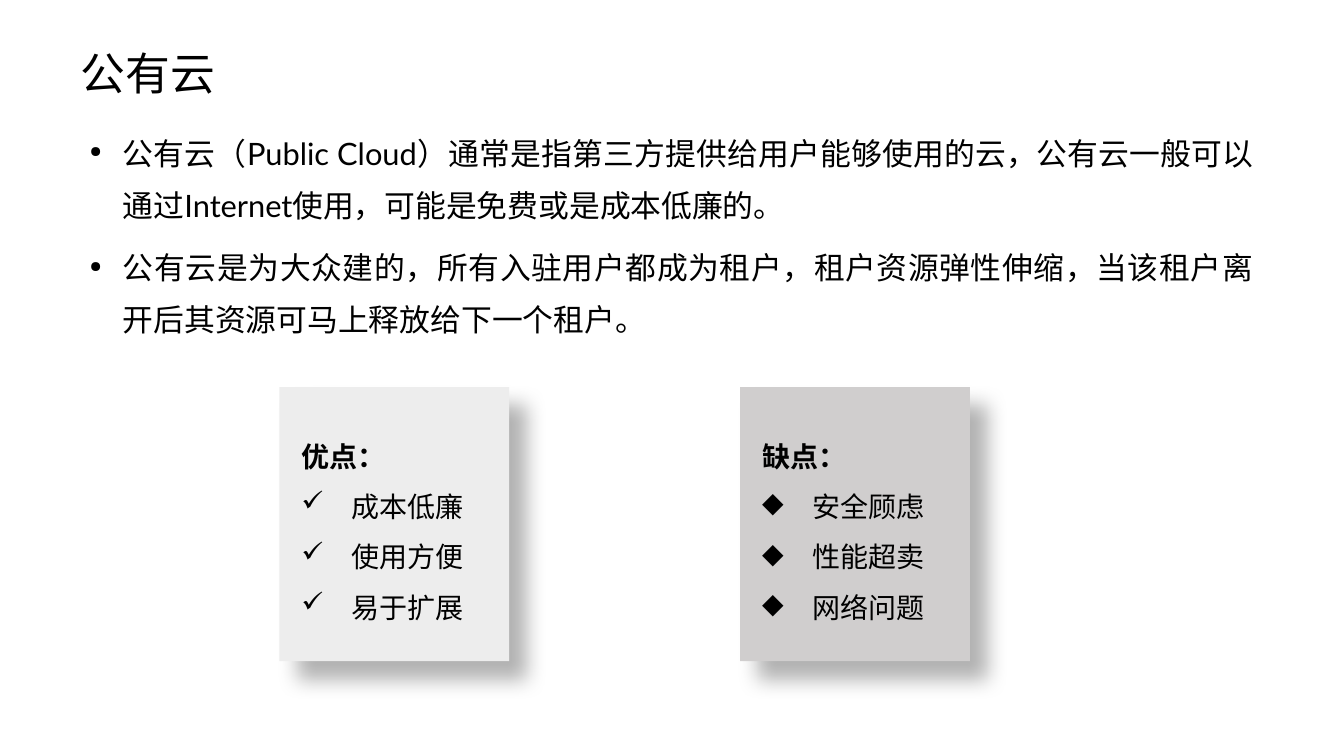
from dataclasses import dataclass

from lxml.etree import SubElement
from pptx import Presentation
from pptx.dml.color import RGBColor
from pptx.enum.lang import MSO_LANGUAGE_ID as Language
from pptx.enum.shapes import MSO_SHAPE as Shape
from pptx.enum.text import MSO_ANCHOR as Anchor, PP_ALIGN as Align
from pptx.oxml.ns import qn
from pptx.util import Inches, Pt


@dataclass(frozen=True)
class Theme:
    font: str = "Lato"
    ink: str = "000000"
    pros_fill: str = "EDEDED"
    cons_fill: str = "D0CECE"
    title_size: int = 32
    body_size: int = 22
    card_size: int = 20


class SlideBuilder:
    def __init__(self, page, theme):
        self.page = page
        self.theme = theme

    def text_box(self, left, top, width, height, anchor=Anchor.TOP, margins=(0.1, 0.05)):
        box = self.page.shapes.add_textbox(
            Inches(left), Inches(top), Inches(width), Inches(height)
        )
        frame = box.text_frame
        frame.word_wrap = True
        frame.vertical_anchor = anchor
        frame.margin_left = frame.margin_right = Inches(margins[0])
        frame.margin_top = frame.margin_bottom = Inches(margins[1])
        return frame

    def paragraph(self, frame, text, size, spacing, bold=False, bullet=None,
                  indent=0, bullet_scale=100, align=Align.LEFT, before=0):
        first = not frame.paragraphs[0].runs
        para = frame.paragraphs[0] if first else frame.add_paragraph()
        para.alignment = align
        para.line_spacing = spacing
        para.space_before = Pt(0 if first else before)
        if bullet:
            props = para._p.get_or_add_pPr()
            props.set("marL", str(Inches(indent)))
            props.set("indent", str(-Inches(indent)))
            SubElement(props, qn("a:buSzPct"), val=str(bullet_scale * 1000))
            SubElement(props, qn("a:buChar"), char=bullet)
        span = para.add_run()
        span.text = text
        font = span.font
        font.name = self.theme.font
        font.size = Pt(size)
        font.bold = bold
        font.color.rgb = RGBColor.from_string(self.theme.ink)
        font.language_id = Language.SIMPLIFIED_CHINESE

    def title(self, text):
        frame = self.text_box(0.8, 0.49, 11.73, 0.53, Anchor.MIDDLE, (0, 0))
        self.paragraph(frame, text, self.theme.title_size, 0.9)

    def body(self, points):
        frame = self.text_box(0.8, 1.15, 11.73, 5.34, margins=(0.09, 0.04))
        for point in points:
            self.paragraph(frame, point, self.theme.body_size, 1.4, bullet="●",
                           indent=0.33, bullet_scale=50, align=Align.JUSTIFY, before=7.9)

    def shadowed_panel(self, left, top, width, height, fill):
        panel = self.page.shapes.add_shape(
            Shape.RECTANGLE, Inches(left), Inches(top), Inches(width), Inches(height)
        )
        panel.fill.solid()
        panel.fill.fore_color.rgb = RGBColor.from_string(fill)
        panel.line.fill.background()
        panel.shadow.inherit = False
        effects = panel._element.spPr.find(qn("a:effectLst"))
        shadow = SubElement(effects, qn("a:outerShdw"), blurRad=str(Pt(15)),
                            dist=str(Pt(18)), dir=str(45 * 60000),
                            algn="tl", rotWithShape="0")
        color = SubElement(shadow, qn("a:srgbClr"), val=self.theme.ink)
        SubElement(color, qn("a:alpha"), val="30000")

    def card(self, left, fill, heading, bullet, items):
        self.shadowed_panel(left, 3.84, 2.28, 2.72, fill)
        frame = self.text_box(left + 0.12, 4.14, 2.28, 2.12)
        size = self.theme.card_size
        self.paragraph(frame, heading, size, 1.5, bold=True)
        for item in items:
            self.paragraph(frame, item, size, 1.5, bullet=bullet, indent=0.5)


def main():
    deck = Presentation()
    deck.slide_width = Inches(13.33)
    deck.slide_height = Inches(7.5)
    theme = Theme()
    builder = SlideBuilder(deck.slides.add_slide(deck.slide_layouts[6]), theme)
    builder.title("公有云")
    builder.body([
        "公有云（Public Cloud）通常是指第三方提供给用户能够使用的云，公有云一般可以通过Internet使用，可能是免费或是成本低廉的。",
        "公有云是为大众建的，所有入驻用户都成为租户，租户资源弹性伸缩，当该租户离开后其资源可马上释放给下一个租户。",
    ])
    builder.card(2.77, theme.pros_fill, "优点：", "✓", ["成本低廉", "使用方便", "易于扩展"])
    builder.card(7.34, theme.cons_fill, "缺点：", "◆", ["安全顾虑", "性能超卖", "网络问题"])
    deck.save("out.pptx")


if __name__ == "__main__":
    main()
